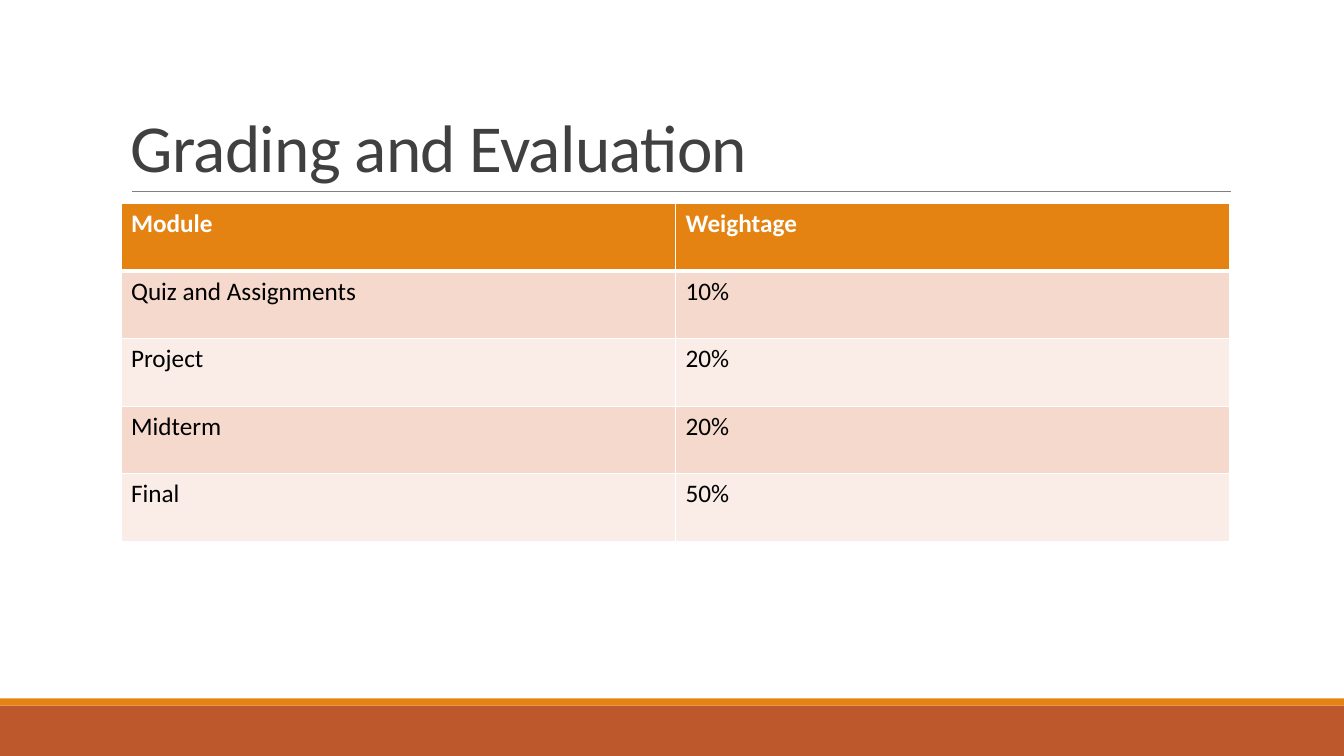
from dataclasses import dataclass

from pptx import Presentation
from pptx.dml.color import RGBColor
from pptx.enum.shapes import MSO_CONNECTOR as Connector, MSO_SHAPE as Preset
from pptx.enum.text import MSO_ANCHOR as Anchor
from pptx.oxml.ns import qn
from pptx.oxml.xmlchemy import OxmlElement
from pptx.slide import Slide
from pptx.table import _Cell as Cell
from pptx.text.text import TextFrame
from pptx.util import Inches, Pt

FONT = "Calibri"
COLORS = {
    "white": "FFFFFF",
    "black": "000000",
    "title": "404040",
    "rule": "808080",
    "orange": "E48312",
    "rust": "BD582C",
    "band_dark": "F5D9CC",
    "band_light": "FAEDE7",
}
SLIDE_WIDTH, SLIDE_HEIGHT = 13.33, 7.5
CONTENT_LEFT, CONTENT_WIDTH = 1.2, 11
ROW_HEIGHT = 0.67
GRID_LINE, HEADER_LINE = 1, 3


@dataclass
class FooterBand:
    """A full-width colour band at the foot of the slide."""
    top: float
    height: float
    color: str


@dataclass
class GradeItem:
    """One row of the grading table."""
    module: str
    weightage: str


FOOTER_BANDS = [FooterBand(7, 0.5, "rust"), FooterBand(6.93, 0.07, "orange")]
GRADE_ITEMS = [
    GradeItem("Module", "Weightage"),
    GradeItem("Quiz and Assignments", "10%"),
    GradeItem("Project", "20%"),
    GradeItem("Midterm", "20%"),
    GradeItem("Final", "50%"),
]


def rgb(name: str) -> RGBColor:
    """Look up a named colour."""
    return RGBColor.from_string(COLORS[name])


def write_text(frame: TextFrame, text: str, *, size: float, color: str,
               bold: bool = False, line_spacing: float | None = None,
               letter_spacing: float = 0) -> None:
    """Write one formatted paragraph; letter spacing is in points."""
    frame.word_wrap = True
    paragraph = frame.paragraphs[0]
    if line_spacing:
        paragraph.line_spacing = line_spacing
    run = paragraph.add_run()
    run.text = text
    run.font.name = FONT
    run.font.size = Pt(size)
    run.font.bold = bold
    run.font.color.rgb = rgb(color)
    if letter_spacing:
        run.font._element.set("spc", str(round(letter_spacing * 100)))


def draw_footer_band(slide: Slide, band: FooterBand) -> None:
    """Draw one footer band."""
    strip = slide.shapes.add_shape(Preset.RECTANGLE, 0, Inches(band.top),
                                   Inches(SLIDE_WIDTH), Inches(band.height))
    strip.shadow.inherit = False
    strip.fill.solid()
    strip.fill.fore_color.rgb = rgb(band.color)
    strip.line.fill.background()


def draw_title(slide: Slide, text: str) -> None:
    """Draw the title and the thin rule below it."""
    rule = slide.shapes.add_connector(Connector.STRAIGHT, Inches(1.31), Inches(1.9),
                                      Inches(12.21), Inches(1.9))
    rule.line.color.rgb = rgb("rule")
    rule.line.width = Pt(0.5)
    rule._element.spPr.append(OxmlElement("a:effectLst"))

    title = slide.shapes.add_textbox(Inches(CONTENT_LEFT), Inches(0.31),
                                     Inches(CONTENT_WIDTH), Inches(1.59))
    title.text_frame.vertical_anchor = Anchor.BOTTOM
    write_text(title.text_frame, text, size=48, color="title",
               line_spacing=0.85, letter_spacing=-0.5)


def set_borders(cell: Cell, top: float, bottom: float) -> None:
    """Give a cell white borders, with widths in points."""
    properties = cell._tc.get_or_add_tcPr()
    widths = {"a:lnL": GRID_LINE, "a:lnR": GRID_LINE, "a:lnT": top, "a:lnB": bottom}
    for tag, width in widths.items():
        border = OxmlElement(tag)
        border.set("w", str(Pt(width)))
        fill = OxmlElement("a:solidFill")
        color = OxmlElement("a:srgbClr")
        color.set("val", COLORS["white"])
        fill.append(color)
        border.append(fill)
        properties.append(border)


def draw_grades(slide: Slide, items: list[GradeItem]) -> None:
    """Draw the grading table: a header row, then alternating bands."""
    frame = slide.shapes.add_table(len(items), 2, Inches(CONTENT_LEFT), Inches(2.02),
                                   Inches(CONTENT_WIDTH), Inches(ROW_HEIGHT * len(items)))
    grades = frame.table
    no_style = "{2D5ABB26-0587-4C30-8999-92F81FD0307C}"
    grades._tbl.tblPr.find(qn("a:tableStyleId")).text = no_style
    for row, item in enumerate(items):
        grades.rows[row].height = Inches(ROW_HEIGHT)
        is_header = row == 0
        band = "orange" if is_header else "band_dark" if row % 2 else "band_light"
        for column, text in enumerate((item.module, item.weightage)):
            cell = grades.cell(row, column)
            set_borders(cell, top=HEADER_LINE if row == 1 else GRID_LINE,
                        bottom=HEADER_LINE if is_header else GRID_LINE)
            cell.fill.solid()
            cell.fill.fore_color.rgb = rgb(band)
            write_text(cell.text_frame, text, size=18, bold=is_header,
                       color="white" if is_header else "black")


def main() -> None:
    """Build and save the slide."""
    deck = Presentation()
    deck.slide_width, deck.slide_height = Inches(SLIDE_WIDTH), Inches(SLIDE_HEIGHT)
    slide = deck.slides.add_slide(deck.slide_layouts[6])
    for band in FOOTER_BANDS:
        draw_footer_band(slide, band)
    draw_title(slide, "Grading and Evaluation")
    draw_grades(slide, GRADE_ITEMS)
    deck.save("out.pptx")


main()
